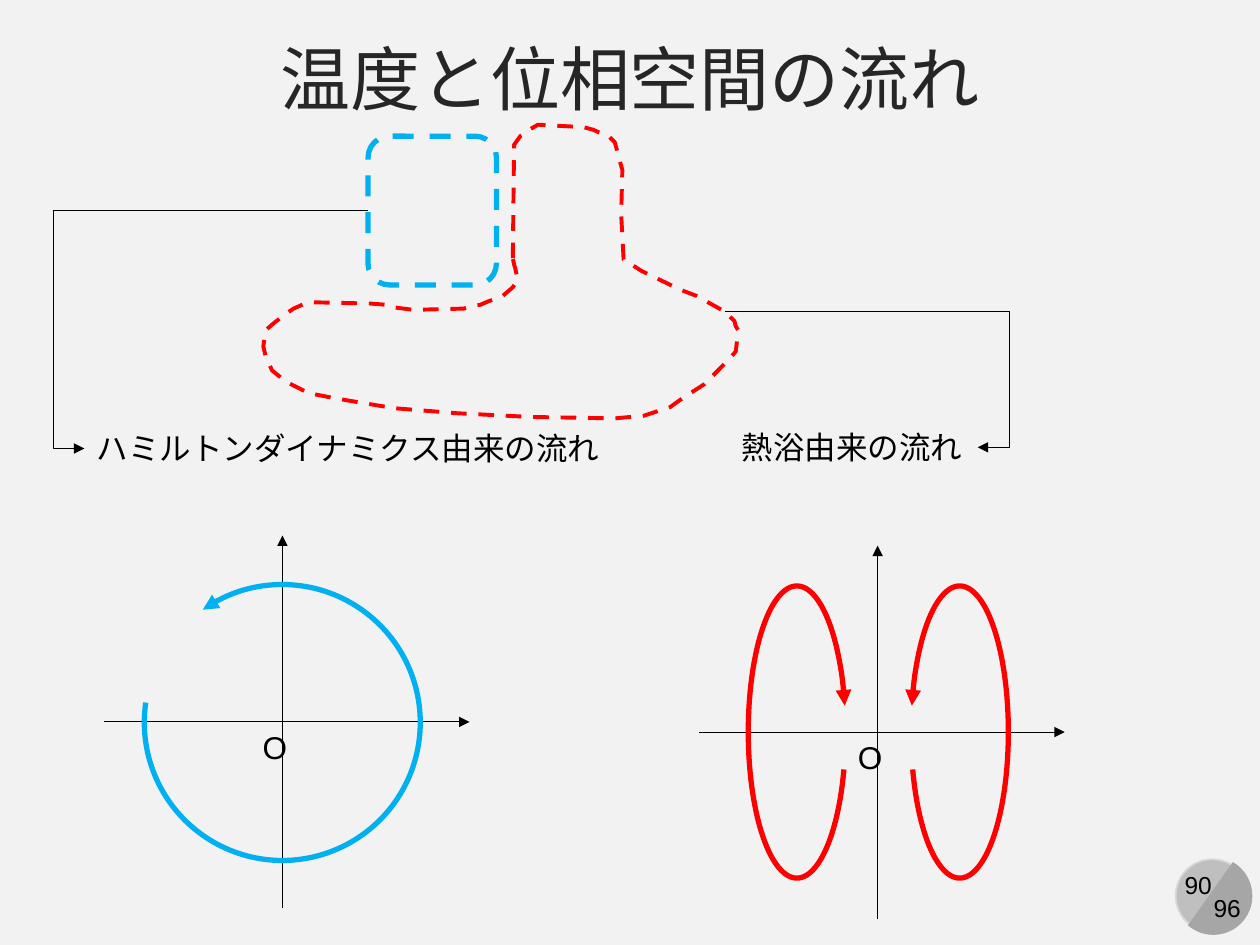
import pptx
import pptx.util
import pptx.dml.color
import pptx.enum.dml
import pptx.enum.shapes
import pptx.enum.text
import pptx.oxml
import pptx.oxml.ns

Pt = pptx.util.Pt
qn = pptx.oxml.ns.qn
SHAPE = pptx.enum.shapes.MSO_SHAPE
LINK = pptx.enum.shapes.MSO_CONNECTOR
ALIGN = pptx.enum.text.PP_ALIGN

COLORS = {
    "back": "F2F2F2", "title": "262626", "ink": "000000",
    "hamilton": "00B0F0", "bath": "FF0000",
    "disc": "BFBFBF", "rim": "D9D9D9", "chord": "A6A6A6",
}

# Outline of the heat-bath terms, relative to its top left corner
BATH_OUTLINE = [
    (142.6, 76.3), (143.3, 11.5), (146.9, 6.5), (149.8, 5), (151.9, 2.9),
    (157, 0), (182.9, 1.4), (188.6, 2.9), (191.5, 4.3), (196.6, 5.8),
    (200.9, 10.1), (203.8, 20.9), (205.2, 25.9), (204.5, 51.1), (205.9, 77),
    (216, 83.5), (238.3, 94.3), (247.7, 97.9), (260.6, 105.1), (263.5, 106.6),
    (269.3, 112.3), (270, 115.2), (271.4, 117.4), (270, 129.6), (265.7, 134.6),
    (252, 148.3), (241.9, 154.8), (237.6, 157.7), (232.6, 161.3), (217.4, 166.3),
    (200.9, 167.8), (152.6, 167), (110.9, 164.9), (74.9, 162), (49, 157.7),
    (40.3, 156.2), (25.9, 153.4), (13, 146.9), (5, 140.4), (1.4, 132.5),
    (0, 126.7), (1.4, 117.4), (6.5, 113), (13, 108), (17.3, 105.1),
    (23.8, 102.2), (28.8, 101.5), (61.2, 102.2), (71.3, 103), (74.9, 104.4),
    (85.7, 105.8), (114.5, 105.1), (119.5, 103.7), (123.8, 103), (128.9, 100.8),
    (133.2, 99.4), (136.8, 97.9), (142.6, 92.9), (145.4, 88.6), (144, 82.1),
    (143.3, 79.9),
]


def rgb(name):
    return pptx.dml.color.RGBColor.from_string(COLORS[name])


def set_line(sp, color, width, dash=False, arrow=None):
    """Format a line; arrow is "headEnd" or "tailEnd"."""
    sp.line.color.rgb = rgb(color)
    sp.line.width = Pt(width)
    if dash:
        sp.line.dash_style = pptx.enum.dml.MSO_LINE.DASH
    if arrow:
        end = pptx.oxml.parse_xml(
            f'<a:{arrow} {pptx.oxml.ns.nsdecls("a")} type="triangle"/>')
        sp.line._get_or_add_ln().append(end)


def add_shape(s, kind, x, y, w, h, fill=None):
    sp = s.shapes.add_shape(kind, Pt(x), Pt(y), Pt(w), Pt(h))
    sp.shadow.inherit = False
    if fill:
        sp.fill.solid()
        sp.fill.fore_color.rgb = rgb(fill)
    else:
        sp.fill.background()
    return sp


def add_arrow(s, kind, x1, y1, x2, y2, bend=None):
    """Thin black arrow; bend is the elbow place as a share of its width."""
    cx = s.shapes.add_connector(kind, Pt(x1), Pt(y1), Pt(x2), Pt(y2))
    set_line(cx, "ink", 0.5, arrow="tailEnd")
    pr = cx._element.spPr
    pr.append(pptx.oxml.parse_xml(f'<a:effectLst {pptx.oxml.ns.nsdecls("a")}/>'))
    if bend:
        guides = pr.find(qn("a:prstGeom")).get_or_add_avLst()
        guides.append(pptx.oxml.parse_xml(
            f'<a:gd {pptx.oxml.ns.nsdecls("a")} name="adj1" '
            f'fmla="val {round(bend * 100000)}"/>'))


def write(tf, text, size, color="ink", align=ALIGN.LEFT):
    p = tf.paragraphs[0]
    p.alignment = align
    r = p.add_run()
    r.text = text
    font = {"name": "Arial", "size": Pt(size), "bold": False}
    for key, value in font.items():
        setattr(r.font, key, value)
    r.font.color.rgb = rgb(color)


def add_label(s, text, x, y, w, h, size=18, align=ALIGN.LEFT):
    tf = s.shapes.add_textbox(Pt(x), Pt(y), Pt(w), Pt(h)).text_frame
    tf.word_wrap = False
    tf.auto_size = pptx.enum.text.MSO_AUTO_SIZE.SHAPE_TO_FIT_TEXT
    write(tf, text, size, align=align)


def add_title(s, text, x, y, w, h):
    sp = s.shapes.title
    place = {"left": x, "top": y, "width": w, "height": h}
    for key, value in place.items():
        setattr(sp, key, Pt(value))
    tf = sp.text_frame
    tf.auto_size = pptx.enum.text.MSO_AUTO_SIZE.NONE
    tf.vertical_anchor = pptx.enum.text.MSO_ANCHOR.MIDDLE
    write(tf, text, 40, "title", ALIGN.CENTER)


def add_page_badge(s, x, y, page, total):
    disc = add_shape(s, SHAPE.OVAL, x + 2.9, y + 1.4, 41.8, 41.8, "disc")
    set_line(disc, "rim", 1)
    add_label(s, page, x, y + 4.3, 31.7, 24.5, 14, ALIGN.CENTER)
    chord = add_shape(s, SHAPE.CHORD, x + 2.2, y, 44.6, 44.6, "chord")
    chord.line.fill.background()
    chord.rotation = 255
    chord.adjustments[0], chord.adjustments[1] = 27, 141.42
    add_label(s, total, x + 17.3, y + 17.3, 30.2, 24.5, 14, ALIGN.CENTER)


def add_axes(s, x, y, w=208.8, h=213.1):
    middle, center = y + h / 2, x + 101.9
    add_arrow(s, LINK.STRAIGHT, x, middle, x + w, middle)
    add_arrow(s, LINK.STRAIGHT, center, y + h, center, y)
    add_label(s, "O", x + 83.5, middle, 24, 24)


def add_flow(s, x, y, w, h, color, start, end, mirrored=False):
    """Circular arrow; start and end are arc adjustments."""
    arc = add_shape(s, SHAPE.ARC, x, y, w, h)
    arc.adjustments[0], arc.adjustments[1] = start, end
    set_line(arc, color, 3, arrow="headEnd")
    if mirrored:
        arc._element.spPr.find(qn("a:xfrm")).set("flipH", "1")


def add_hamilton_plot(s, x, y):
    add_axes(s, x, y)
    add_flow(s, x + 23, y + 28, 157.7, 157.7, "hamilton", 140.89, 112.98)


def add_bath_plot(s, x, y):
    add_axes(s, x, y)
    for dx, mirrored in ((121, False), (28, True)):
        add_flow(s, x + dx, y + 23, 55.6, 167, "bath", 125.28, 84.89, mirrored)


def add_term_outlines(s, x, y):
    """Dashed frames around the two groups of terms, with their captions."""
    frame = add_shape(s, SHAPE.ROUNDED_RECTANGLE, x + 59.8, y + 6.5, 73.4, 85)
    set_line(frame, "hamilton", 3, dash=True)

    points = [(Pt(x + dx), Pt(y + dy)) for dx, dy in BATH_OUTLINE]
    builder = s.shapes.build_freeform(*points[0])
    builder.add_line_segments(points[1:], close=True)
    bath = builder.convert_to_shape()
    bath.shadow.inherit = False
    bath.fill.background()
    set_line(bath, "bath", 2.25, dash=True)

    add_label(s, "ハミルトンダイナミクス由来の流れ", x - 102.3, y + 170.6, 305.3, 28.8)
    add_label(s, "熱浴由来の流れ", x + 266.4, y + 170, 141.8, 28.8)
    add_arrow(s, LINK.ELBOW, x + 59.8, y + 49, x - 102.3, y + 185, 1.11)
    add_arrow(s, LINK.ELBOW, x + 263.5, y + 106.6, x + 408.2, y + 184.3, 1.125)


def main():
    prs = pptx.Presentation()
    prs.slide_width, prs.slide_height = Pt(720), Pt(540)
    s = prs.slides.add_slide(prs.slide_layouts[5])
    s.background.fill.solid()
    s.background.fill.fore_color.rgb = rgb("back")

    add_page_badge(s, 668.9, 489.6, "90", "96")
    add_title(s, "温度と位相空間の流れ", 0, 15, 720, 59)
    add_hamilton_plot(s, 59.5, 306)
    add_bath_plot(s, 399.6, 311.8)
    add_term_outlines(s, 150.5, 71.3)
    prs.save("out.pptx")


if __name__ == "__main__":
    main()
